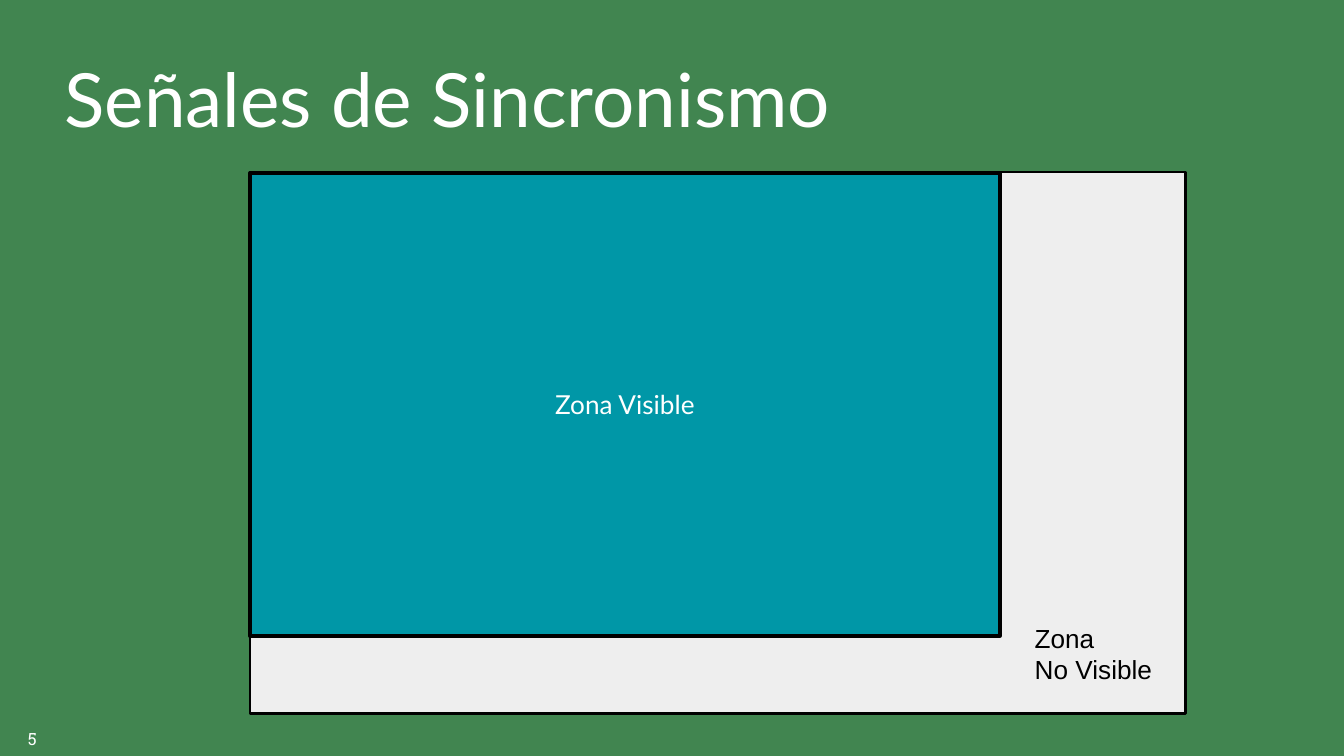
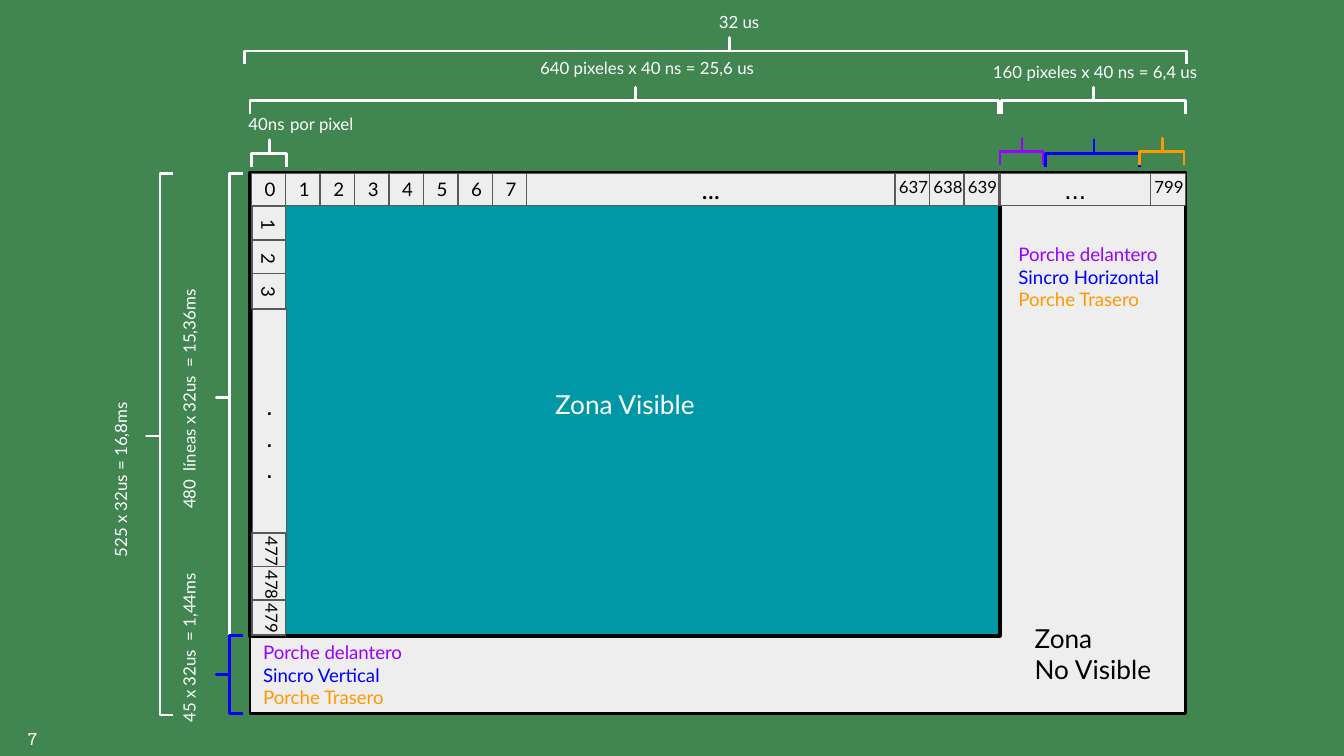
from dataclasses import dataclass
from typing import NamedTuple

from pptx import Presentation
from pptx.dml.color import RGBColor
from pptx.enum.shapes import MSO_SHAPE
from pptx.enum.text import MSO_ANCHOR, MSO_AUTO_SIZE, PP_ALIGN
from pptx.presentation import Presentation as Deck
from pptx.shapes.autoshape import Shape
from pptx.slide import Slide
from pptx.util import Inches, Pt

GREEN = RGBColor(0x41, 0x85, 0x50)
TEAL = RGBColor(0x00, 0x97, 0xA7)
LIGHT = RGBColor(0xEE, 0xEE, 0xEE)
GRAY = RGBColor(0x59, 0x59, 0x59)
BLACK = RGBColor(0x00, 0x00, 0x00)
WHITE = RGBColor(0xFF, 0xFF, 0xFF)
PURPLE = RGBColor(0x99, 0x00, 0xFF)
BLUE = RGBColor(0x00, 0x00, 0xFF)
ORANGE = RGBColor(0xFF, 0x99, 0x00)

SLIDE_WIDTH = Inches(10)
SLIDE_HEIGHT = SLIDE_WIDTH * 9 // 16
TITLE_ONLY, BLANK = 5, 6
LATO, ARIAL, SLAB = "Lato", "Arial", "Roboto Slab"
BRACE_DEPTH = 0.2
LABEL_HEIGHT = 0.35
NUMBER_WIDTH = 0.58
CELL_WIDTH, CELL_HEIGHT = 0.26, 0.24
ROW_TOP, COLUMN_LEFT = 1.29, 1.87
ROW_STEP = (3.92 - COLUMN_LEFT) / 8
COLUMN_STEP = 0.25


class Frame(NamedTuple):
    left: float
    top: float
    width: float
    height: float


class Line(NamedTuple):
    text: str
    color: RGBColor


@dataclass(frozen=True)
class TextStyle:
    size: float
    font: str = LATO
    align: PP_ALIGN = PP_ALIGN.LEFT
    anchor: MSO_ANCHOR = MSO_ANCHOR.TOP
    auto_size: MSO_AUTO_SIZE = MSO_AUTO_SIZE.NONE


@dataclass(frozen=True)
class Label:
    text: str
    left: float
    top: float
    width: float
    color: RGBColor = WHITE
    rotation: float = 0


@dataclass(frozen=True)
class Brace:
    left: float
    top: float
    length: float
    color: RGBColor = WHITE
    tip: float = 0.485
    horizontal: bool = True


GROW = MSO_AUTO_SIZE.SHAPE_TO_FIT_TEXT
CENTER, MIDDLE = PP_ALIGN.CENTER, MSO_ANCHOR.MIDDLE
TITLE_STYLE = TextStyle(40, anchor=MIDDLE)
FOOTER_STYLE = TextStyle(9, SLAB)
LABEL_STYLE = TextStyle(9, auto_size=GROW)
PORCH_STYLE = TextStyle(10, auto_size=GROW)
CELL_STYLE = TextStyle(10, align=CENTER, anchor=MIDDLE)
ZONE_STYLE = TextStyle(14, align=CENTER, anchor=MIDDLE)
DOTS_STYLE = TextStyle(14, ARIAL, CENTER, MIDDLE)
COLUMN_DOTS_STYLE = TextStyle(14, ARIAL, anchor=MIDDLE)

BRACES = (
    Brace(1.87, 1.04, 0.26),
    Brace(1.86, 0.65, 5.57),
    Brace(7.44, 1.03, 0.32, PURPLE),
    Brace(7.78, 1.04, 0.7, BLUE),
    Brace(8.48, 1.03, 0.33, ORANGE),
    Brace(7.45, 0.65, 1.37, tip=0.5),
    Brace(1.82, 0.28, 7.01),
    Brace(1.61, 1.29, 3.44, horizontal=False),
    Brace(1.61, 4.73, 0.58, BLUE, 0.5, False),
    Brace(1.09, 1.29, 4.03, horizontal=False),
)

TIMING_LABELS = (
    Label("40ns", 1.75, 0.77, 0.58),
    Label("por pixel", 2.06, 0.77, 0.76),
    Label("640 pixeles x 40 ns = 25,6 us", 3.92, 0.35, 1.83),
    Label("160 pixeles x 40 ns = 6,4 us", 7.29, 0.38, 1.83),
    Label("32 us", 5.25, 0.01, 1.83),
    Label("480  líneas x 32us  = 15,36ms", 0.43, 2.71, 2, rotation=270),
    Label("45 x 32us  = 1,44ms", 0.43, 4.3, 2, rotation=270),
    Label("525 x 32us = 16,8ms", -0.08, 3.07, 2, rotation=270),
)


def write_text(shape: Shape, lines: list[Line], style: TextStyle) -> None:
    text_frame = shape.text_frame
    frame_format = {
        "word_wrap": True,
        "auto_size": style.auto_size,
        "vertical_anchor": style.anchor,
        "margin_left": Inches(0.1),
        "margin_right": Inches(0.1),
        "margin_top": Inches(0.1),
        "margin_bottom": Inches(0.1),
    }
    for name, value in frame_format.items():
        setattr(text_frame, name, value)
    for index, line in enumerate(lines):
        paragraph = text_frame.add_paragraph() if index else text_frame.paragraphs[0]
        paragraph.alignment = style.align
        run = paragraph.add_run()
        run.text = line.text
        for name, value in {"name": style.font, "size": Pt(style.size)}.items():
            setattr(run.font, name, value)
        run.font.color.rgb = line.color


def place(shape: Shape, frame: Frame) -> None:
    for name, value in zip(frame._fields, frame):
        setattr(shape, name, Inches(value))


def add_text(slide: Slide, frame: Frame, lines: list[Line], style: TextStyle,
             rotation: float = 0) -> None:
    shape = slide.shapes.add_textbox(*map(Inches, frame))
    shape.rotation = rotation
    write_text(shape, lines, style)


def add_label(slide: Slide, label: Label) -> None:
    frame = Frame(label.left, label.top, label.width, LABEL_HEIGHT)
    add_text(slide, frame, [Line(label.text, label.color)], LABEL_STYLE, label.rotation)


def add_box(slide: Slide, frame: Frame, fill: RGBColor, line: RGBColor,
            weight: float) -> Shape:
    shape = slide.shapes.add_shape(MSO_SHAPE.RECTANGLE, *map(Inches, frame))
    shape.shadow.inherit = False
    shape.fill.solid()
    shape.fill.fore_color.rgb = fill
    shape.line.color.rgb = line
    shape.line.width = Pt(weight)
    return shape


def add_cell(slide: Slide, frame: Frame, text: str = "",
             style: TextStyle = CELL_STYLE, rotation: float = 0) -> None:
    shape = add_box(slide, frame, LIGHT, GRAY, 0.75)
    shape.rotation = rotation
    if text:
        write_text(shape, [Line(text, BLACK)], style)


def add_brace(slide: Slide, brace: Brace) -> None:
    left, top = brace.left, brace.top
    if brace.horizontal:
        shift = (brace.length - BRACE_DEPTH) / 2
        left, top = left + shift, top - shift
    frame = Frame(left, top, BRACE_DEPTH, brace.length)
    shape = slide.shapes.add_shape(MSO_SHAPE.LEFT_BRACE, *map(Inches, frame))
    shape.rotation = 90 if brace.horizontal else 0
    shape.adjustments[0] = 0
    shape.adjustments[1] = brace.tip
    shape.shadow.inherit = False
    shape.fill.background()
    shape.line.color.rgb = brace.color
    shape.line.width = Pt(1.5)


def add_screen_slide(presentation: Deck, layout: int, number: str,
                     hidden_font: str) -> Slide:
    slide = presentation.slides.add_slide(presentation.slide_layouts[layout])
    slide.background.fill.solid()
    slide.background.fill.fore_color.rgb = GREEN
    add_text(slide, Frame(0.11, 5.32, 0.37, 0.24), [Line(number, WHITE)], FOOTER_STYLE)
    add_box(slide, Frame(1.86, 1.28, 6.96, 4.03), LIGHT, BLACK, 1.5)
    visible = add_box(slide, Frame(1.86, 1.29, 5.58, 3.44), TEAL, BLACK, 2.25)
    write_text(visible, [Line("Zona Visible", WHITE)], ZONE_STYLE)
    add_text(slide, Frame(7.6, 4.53, 1.42, 0.67),
             [Line("Zona", BLACK), Line("No Visible", BLACK)],
             TextStyle(14, hidden_font, auto_size=GROW))
    return slide


def add_pixel_row(slide: Slide) -> None:
    for index in range(8):
        left = COLUMN_LEFT + index * ROW_STEP
        add_cell(slide, Frame(left, ROW_TOP, CELL_WIDTH, CELL_HEIGHT), str(index))
    add_cell(slide, Frame(3.92, ROW_TOP, 2.74, CELL_HEIGHT), "...", ZONE_STYLE)
    add_cell(slide, Frame(7.44, ROW_TOP, 1.12, CELL_HEIGHT), "...", DOTS_STYLE)
    last_cells = [(str(637 + index), 6.66 + index * ROW_STEP) for index in range(3)]
    for text, left in [*last_cells, ("799", 8.56)]:
        add_cell(slide, Frame(left, ROW_TOP, CELL_WIDTH, CELL_HEIGHT))
        add_label(slide, Label(text, left - 0.07, 1.24, NUMBER_WIDTH, BLACK))


def add_line_column(slide: Slide) -> None:
    add_cell(slide, Frame(1.88, 2.3, 0.25, 1.9), "...", COLUMN_DOTS_STYLE)
    for index in range(3):
        offset = index * COLUMN_STEP
        first = Frame(COLUMN_LEFT, 1.54 + offset, CELL_WIDTH, COLUMN_STEP)
        add_cell(slide, first, str(index + 1), rotation=90)
        add_cell(slide, first._replace(top=3.97 + offset), rotation=90)
    for index in range(3):
        add_label(slide, Label(str(477 + index), 1.71, 4.01 + index * COLUMN_STEP,
                               NUMBER_WIDTH, BLACK, 90))


def add_porches(slide: Slide, frame: Frame, direction: str) -> None:
    lines = [
        Line("Porche delantero", PURPLE),
        Line(f"Sincro {direction}", BLUE),
        Line("Porche Trasero", ORANGE),
    ]
    add_text(slide, frame, lines, PORCH_STYLE)


def build_zones(presentation: Deck) -> None:
    slide = add_screen_slide(presentation, TITLE_ONLY, "5", ARIAL)
    title = slide.shapes.title
    place(title, Frame(0.38, 0.2, 9.24, 1.05))
    write_text(title, [Line("Señales de Sincronismo", WHITE)], TITLE_STYLE)


def build_timing(presentation: Deck) -> None:
    slide = add_screen_slide(presentation, BLANK, "7", LATO)
    add_pixel_row(slide)
    add_line_column(slide)
    for brace in BRACES:
        add_brace(slide, brace)
    for label in TIMING_LABELS:
        add_label(slide, label)
    add_porches(slide, Frame(7.48, 1.71, 1.57, 0.71), "Horizontal")
    add_porches(slide, Frame(1.86, 4.67, 2.06, 0.71), "Vertical")


def main() -> None:
    presentation = Presentation()
    presentation.slide_width = SLIDE_WIDTH
    presentation.slide_height = SLIDE_HEIGHT
    build_zones(presentation)
    build_timing(presentation)
    presentation.save("out.pptx")


if __name__ == "__main__":
    main()
